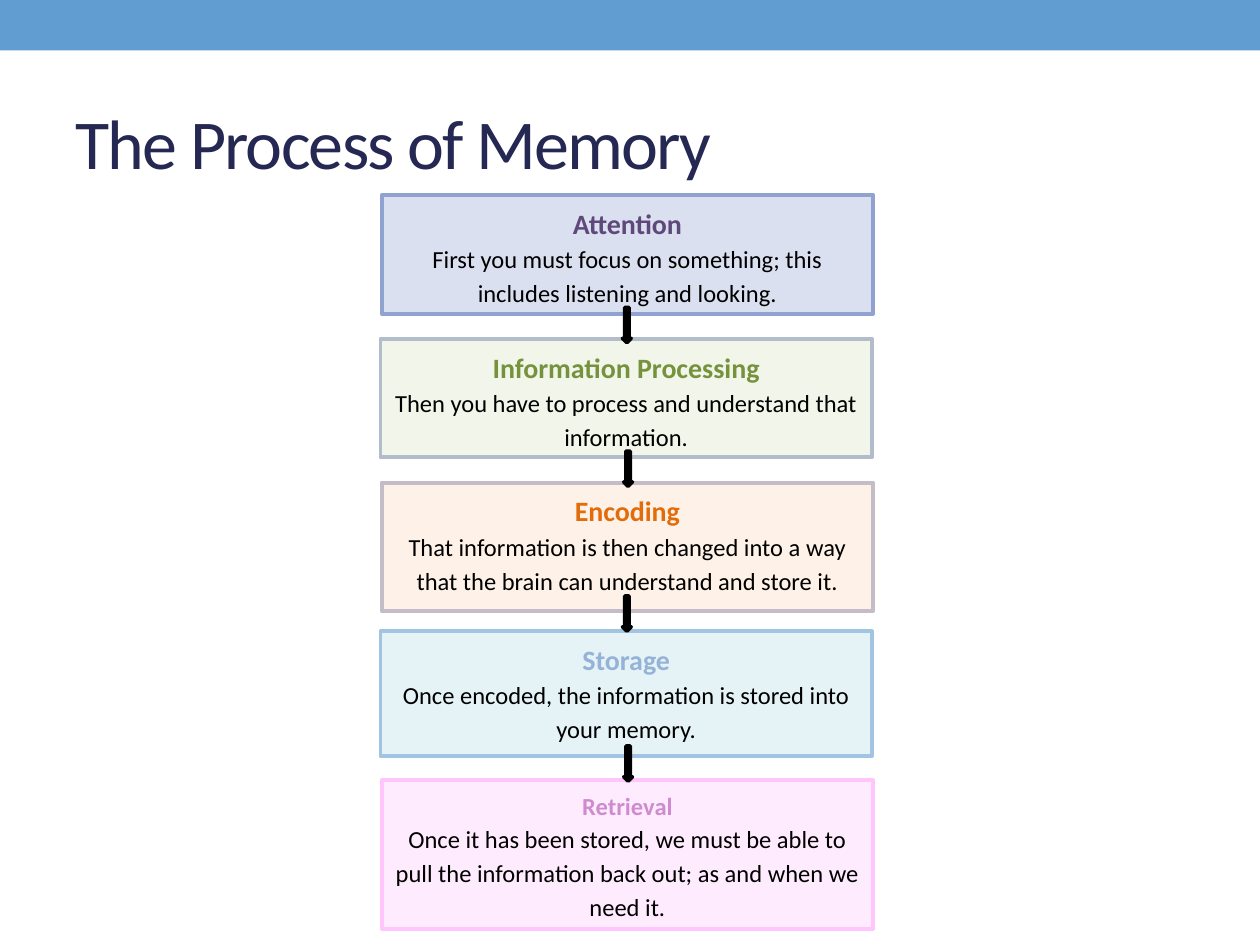
"""Build the slide showing the five steps of the memory process."""
import pptx
import pptx.dml.color
import pptx.enum.shapes
import pptx.enum.text
import pptx.util
from pptx.util import Inches, Pt

SHAPE = pptx.enum.shapes.MSO_SHAPE
ALIGN = pptx.enum.text.PP_ALIGN
ANCHOR = pptx.enum.text.MSO_ANCHOR

TITLE = "The Process of Memory"
STEPS = [
    dict(name="Attention", size=16, color="5F497A", fill="DAE0EF", line="90A2CF",
         left=3.03, top=1.55, height=0.94,
         text="First you must focus on something; this includes listening and looking."),
    dict(name="Information Processing", size=16, color="76923C", fill="F2F6EA", line="B2BCCB",
         left=3.02, top=2.69, height=0.94,
         text="Then you have to process and understand that information."),
    dict(name="Encoding", size=16, color="E36C0A", fill="FEF2E8", line="C4BCC6",
         left=3.03, top=3.83, height=1.02,
         text="That information is then changed into a way that the brain can understand and store it."),
    dict(name="Storage", size=16, color="95B3D7", fill="E5F3F7", line="A1C4E3",
         left=3.02, top=5.01, height=0.99,
         text="Once encoded, the information is stored into your memory."),
    dict(name="Retrieval", size=14, color="CE8CCE", fill="FFEBFE", line="FFC5FC",
         left=3.03, top=6.19, height=1.18,
         text="Once it has been stored, we must be able to pull the information back out; "
              "as and when we need it."),
]
ARROWS = [(4.94, 2.44), (4.95, 3.58), (4.94, 4.73), (4.95, 5.92)]
BOX_WIDTH = 3.9


def rgb(value):
    return pptx.dml.color.RGBColor.from_string(value)


def add_shape(page, kind, left, top, width, height, fill, line=None, weight=0):
    shape = page.shapes.add_shape(kind, Inches(left), Inches(top), Inches(width), Inches(height))
    shape.shadow.inherit = False
    shape.fill.solid()
    shape.fill.fore_color.rgb = rgb(fill)
    if line:
        shape.line.color.rgb = rgb(line)
        shape.line.width = Pt(weight)
    else:
        shape.line.fill.background()
    return shape


def style(para, size, color, bold=False):
    for span in para.runs:
        span.font.name = "Calibri"
        span.font.size = Pt(size)
        span.font.bold = bold
        span.font.color.rgb = rgb(color)


def add_title(page):
    title = page.shapes.title
    title.left, title.top = Inches(0.5), Inches(0.58)
    title.width, title.height = Inches(9), Inches(1.08)
    frame = title.text_frame
    frame.text = TITLE
    frame.auto_size = pptx.enum.text.MSO_AUTO_SIZE.NONE
    frame.vertical_anchor = ANCHOR.MIDDLE
    para = frame.paragraphs[0]
    para.alignment = ALIGN.LEFT
    style(para, 40, "242852")
    para.runs[0].font._element.set("spc", "-100")


def add_step(page, step):
    box = add_shape(page, SHAPE.RECTANGLE, step["left"], step["top"], BOX_WIDTH,
                    step["height"], step["fill"], step["line"], 2.25)
    frame = box.text_frame
    frame.word_wrap = True
    frame.vertical_anchor = ANCHOR.TOP
    frame.text = step["name"] + "\n" + step["text"]
    heading, body = frame.paragraphs
    style(heading, step["size"], step["color"], bold=True)
    style(body, 14, "000000")
    for para in frame.paragraphs:
        para.alignment = ALIGN.CENTER
        para.line_spacing = 1.15


def main():
    deck = pptx.Presentation()
    deck.slide_width, deck.slide_height = Inches(10), Inches(7.5)
    page = deck.slides.add_slide(deck.slide_layouts[5])
    add_shape(page, SHAPE.RECTANGLE, 0, 0, 10, 0.4, "629DD1")
    add_title(page)
    for step in STEPS:
        add_step(page, step)
    for left, top in ARROWS:
        add_shape(page, SHAPE.DOWN_ARROW, left, top, 0.07, 0.28, "000000", "000000", 2)
    deck.save("out.pptx")


if __name__ == "__main__":
    main()
